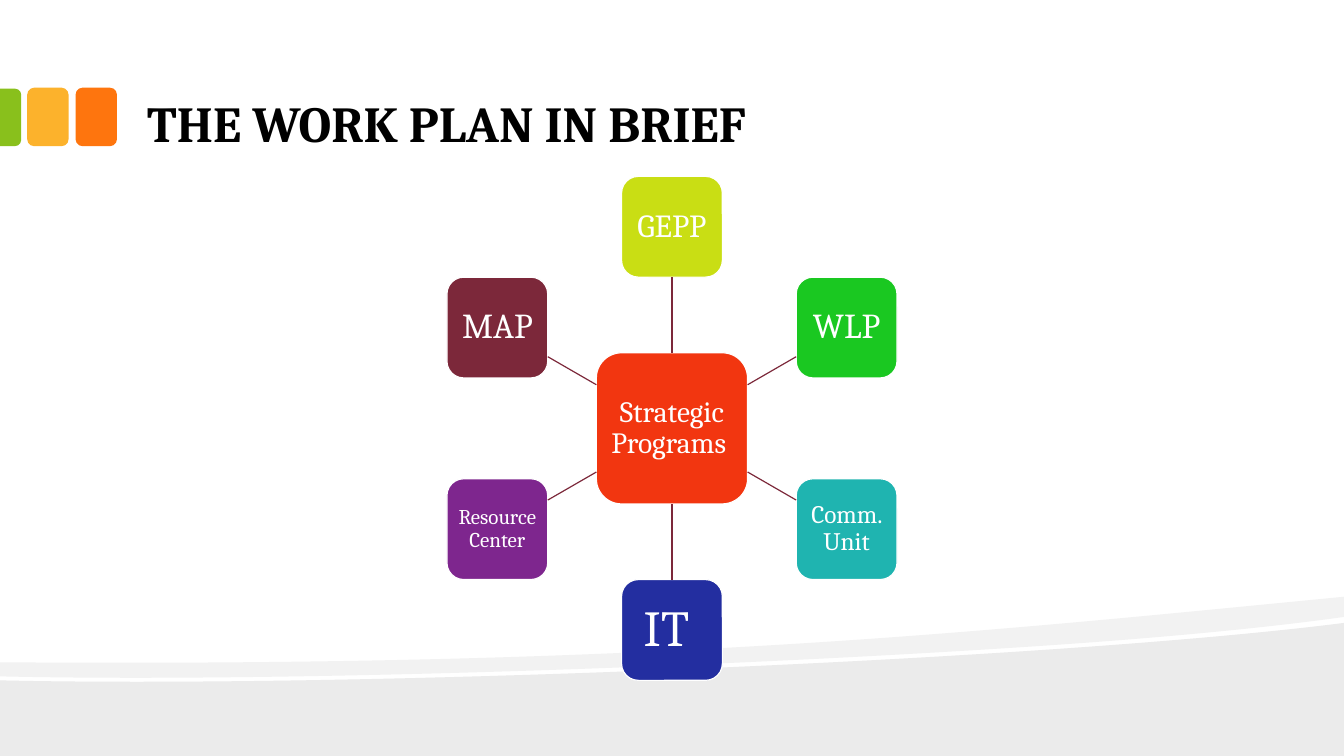
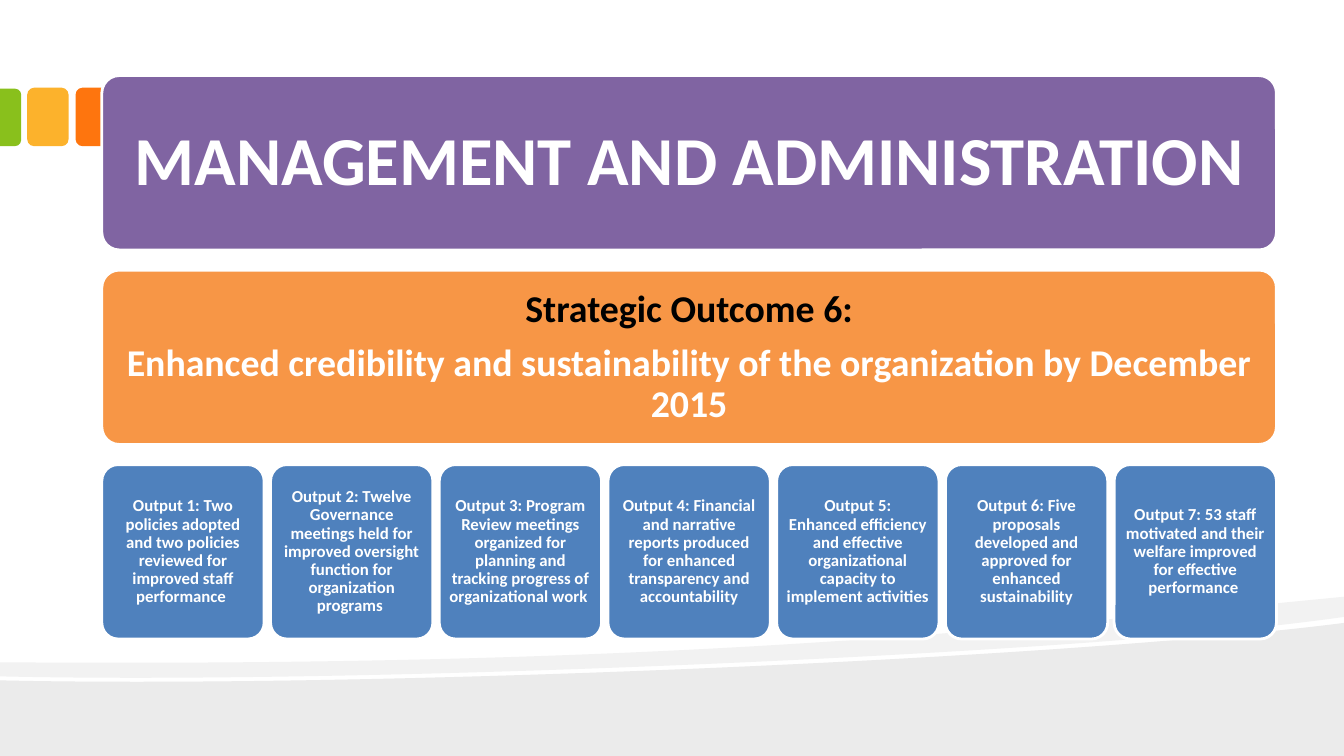
import math
import pptx
import pptx.dml.color
import pptx.enum.shapes
import pptx.enum.text
import pptx.util
from lxml import etree

Inches = pptx.util.Inches
Pt = pptx.util.Pt
SHAPE = pptx.enum.shapes.MSO_SHAPE
ALIGN = pptx.enum.text.PP_ALIGN
ANCHOR = pptx.enum.text.MSO_ANCHOR
WIDE, HIGH = 13.33, 7.5
GRAIN = 1000

HUES = {
    "white": "FFFFFF", "black": "000000", "mist": "EBEBEB", "haze": "F2F2F2",
    "orange": "FE750E", "amber": "FCB22C", "leaf": "89C01C",
    "red": "F23610", "lime": "C9DE14", "green": "1AC821", "teal": "1FB4B0",
    "navy": "232EA0", "plum": "7E268E", "wine": "7C283A",
    "violet": "8064A2", "peach": "F79646", "blue": "4F81BD",
}


def hue(name):
    return pptx.dml.color.RGBColor.from_string(HUES[name])


def write(frame, text, size=12, font="Calibri", color="white", bold=False,
          align=ALIGN.CENTER, anchor=ANCHOR.MIDDLE, pad=0.05, top=None,
          lead=0.9, after=0):
    frame.word_wrap = True
    frame.auto_size = pptx.enum.text.MSO_AUTO_SIZE.NONE
    frame.vertical_anchor = anchor
    frame.margin_left = frame.margin_right = Inches(pad)
    frame.margin_top = frame.margin_bottom = Inches(pad if top is None else top)
    lines = [text] if isinstance(text, str) else text
    tints = [color] * len(lines) if isinstance(color, str) else color
    for i, (line, tint) in enumerate(zip(lines, tints)):
        para = frame.add_paragraph() if i else frame.paragraphs[0]
        para.alignment = align
        para.line_spacing = lead
        para.space_after = Pt(after if i < len(lines) - 1 else 0)
        run = para.add_run()
        run.text = line
        run.font.size = Pt(size)
        run.font.name = font
        run.font.bold = bold
        run.font.color.rgb = hue(tint)


class Deck:
    def __init__(self):
        self.file = pptx.Presentation()
        self.file.slide_width = Inches(WIDE)
        self.file.slide_height = Inches(HIGH)
        self.page = None

    def slide(self):
        self.page = self.file.slides.add_slide(self.file.slide_layouts[5])
        self.waves()
        self.tabs()

    def waves(self):
        self.wave("mist", (WIDE, 6.18), [
            [(WIDE, HIGH)], [(0, HIGH)], [(0, 6.75)],
            [(3.52, 6.83), (10.42, 6.55), (WIDE, 6.18)]])
        self.wave("haze", (WIDE, 5.92), [
            [(WIDE, 6.12)],
            [(12.55, 6.23), (11.49, 6.33), (10.29, 6.41)],
            [(6.98, 6.63), (2.58, 6.77), (0, 6.71)],
            [(0, 6.57)],
            [(6.52, 6.62), (9.71, 6.27), (WIDE, 5.92)]])

    def wave(self, fill, start, moves):
        pen = self.page.shapes.build_freeform(
            round(start[0] * GRAIN), round(start[1] * GRAIN),
            scale=Inches(1) / GRAIN)
        pen.add_line_segments([(round(x * GRAIN), round(y * GRAIN))
                               for move in moves for x, y in move])
        shape = pen.convert_to_shape()
        legs = iter(shape.element.xpath(".//a:lnTo"))
        for move in moves:
            first, *rest = [next(legs) for dot in move]
            if rest:
                first.tag = pptx.oxml.ns.qn("a:cubicBezTo")
            for leg in rest:
                first.append(leg[0])
                leg.getparent().remove(leg)
        self.paint(shape, fill)

    def tabs(self):
        self.box(0.75, 0.87, 0.41, 0.58, "orange")
        self.box(0.27, 0.87, 0.41, 0.58, "amber")
        end = self.box(-0.18, 1.06, 0.57, 0.21, "leaf",
                       kind=SHAPE.ROUND_2_SAME_RECTANGLE, bend=0.29)
        end.rotation = 90

    def paint(self, shape, fill, edge=None):
        shape.shadow.inherit = False
        shape.fill.solid()
        shape.fill.fore_color.rgb = hue(fill)
        if edge:
            shape.line.color.rgb = hue("white")
            shape.line.width = Pt(edge)
        else:
            shape.line.fill.background()

    def box(self, x, y, w, h, fill, text=None, edge=None, bend=None,
            kind=SHAPE.ROUNDED_RECTANGLE, **style):
        shape = self.page.shapes.add_shape(
            kind, Inches(x), Inches(y), Inches(w), Inches(h))
        if bend is not None:
            shape.adjustments[0] = bend
        self.paint(shape, fill, edge)
        if text:
            write(shape.text_frame, text, **style)
        return shape

    def title(self, x, y, w, h, text, **style):
        head = self.page.shapes.title
        self.page.shapes.element.append(head.element)
        head.left, head.top = Inches(x), Inches(y)
        head.width, head.height = Inches(w), Inches(h)
        write(head.text_frame, text, bold=True, **style)

    def link(self, x1, y1, x2, y2):
        line = self.page.shapes.add_connector(
            pptx.enum.shapes.MSO_CONNECTOR.STRAIGHT,
            Inches(x1), Inches(y1), Inches(x2), Inches(y2))
        line.line.color.rgb = hue("wine")
        line.line.width = Pt(0.85)
        etree.SubElement(line.element.spPr, pptx.oxml.ns.qn("a:effectLst"))
        return line


def programs(deck):
    deck.slide()
    mid, row, reach = WIDE / 2, 4.25, 2
    core, side = 1.5, 1
    look = {"edge": 0.85, "font": "Cambria"}
    hub = deck.box(mid - core / 2, row - core / 2, core, core, "red",
                   "Strategic Programs ", size=21, pad=0.06, **look)
    nodes = [
        ("GEPP", "lime", 23, 0.06), ("WLP", "green", 25, 0.07),
        ("Comm. Unit", "teal", 18, 0.05), ("IT ", "navy", 36, 0.1),
        ("Resource Center", "plum", 15, 0.04), ("MAP", "wine", 25, 0.07),
    ]
    ports = {0: (0, 2), 3: (2, 0)}
    for i, (text, fill, size, pad) in enumerate(nodes):
        turn = math.tau * i / len(nodes)
        dx, dy = reach * math.sin(turn), -reach * math.cos(turn)
        node = deck.box(mid + dx - side / 2, row + dy - side / 2, side, side,
                        fill, text, size=size, pad=pad, **look)
        far = max(abs(dx), abs(dy))
        near, stop = core / 2 / far, 1 - side / 2 / far
        line = deck.link(mid + dx * near, row + dy * near,
                         mid + dx * stop, row + dy * stop)
        if i in ports:
            start, end = ports[i]
            line.begin_connect(hub, start)
            line.end_connect(node, end)
    deck.title(1.33, 0.16, 10.66, 1.42, "THE WORK PLAN IN BRIEF", size=36,
               font="Cambria", color="black", align=ALIGN.LEFT,
               anchor=ANCHOR.BOTTOM, pad=0.13, top=0.07, lead=1)


def outputs(deck):
    deck.slide()
    left, top, full, tall, step = 1.01, 0.75, 11.65, 1.73, 1.93
    look = {"edge": 2, "bend": 0.1}
    deck.box(left, top, full, tall, "violet", **look)
    deck.box(left, top + step, full, tall, "peach",
             ["Strategic Outcome 6:",
              "Enhanced credibility and sustainability of the organization "
              "by December 2015"],
             color=["black", "white"], size=27, bold=True, pad=0.11, after=9.45,
             **look)
    cards = [
        "Output 1: Two policies adopted and two policies reviewed for "
        "improved staff performance ",
        "Output 2: Twelve Governance meetings held for improved oversight "
        "function for organization programs ",
        "Output 3: Program Review meetings organized for planning and "
        "tracking progress of organizational work ",
        "Output 4: Financial and narrative reports produced for enhanced "
        "transparency and accountability",
        ["Output 5:", "Enhanced efficiency and effective organizational "
         "capacity to implement activities"],
        "Output 6: Five proposals developed and approved for enhanced "
        "sustainability",
        "Output 7: 53 staff motivated and their welfare improved for "
        "effective performance ",
    ]
    wide = 1.61
    pitch = (full - wide) / (len(cards) - 1)
    for i, text in enumerate(cards):
        deck.box(left + i * pitch, top + 2 * step, wide, tall, "blue", text,
                 bold=True, pad=0.04, **look)
    deck.title(left, top, full, tall, "MANAGEMENT AND ADMINISTRATION",
               size=49, pad=0.2)


def main():
    deck = Deck()
    programs(deck)
    outputs(deck)
    deck.file.save("out.pptx")


if __name__ == "__main__":
    main()
